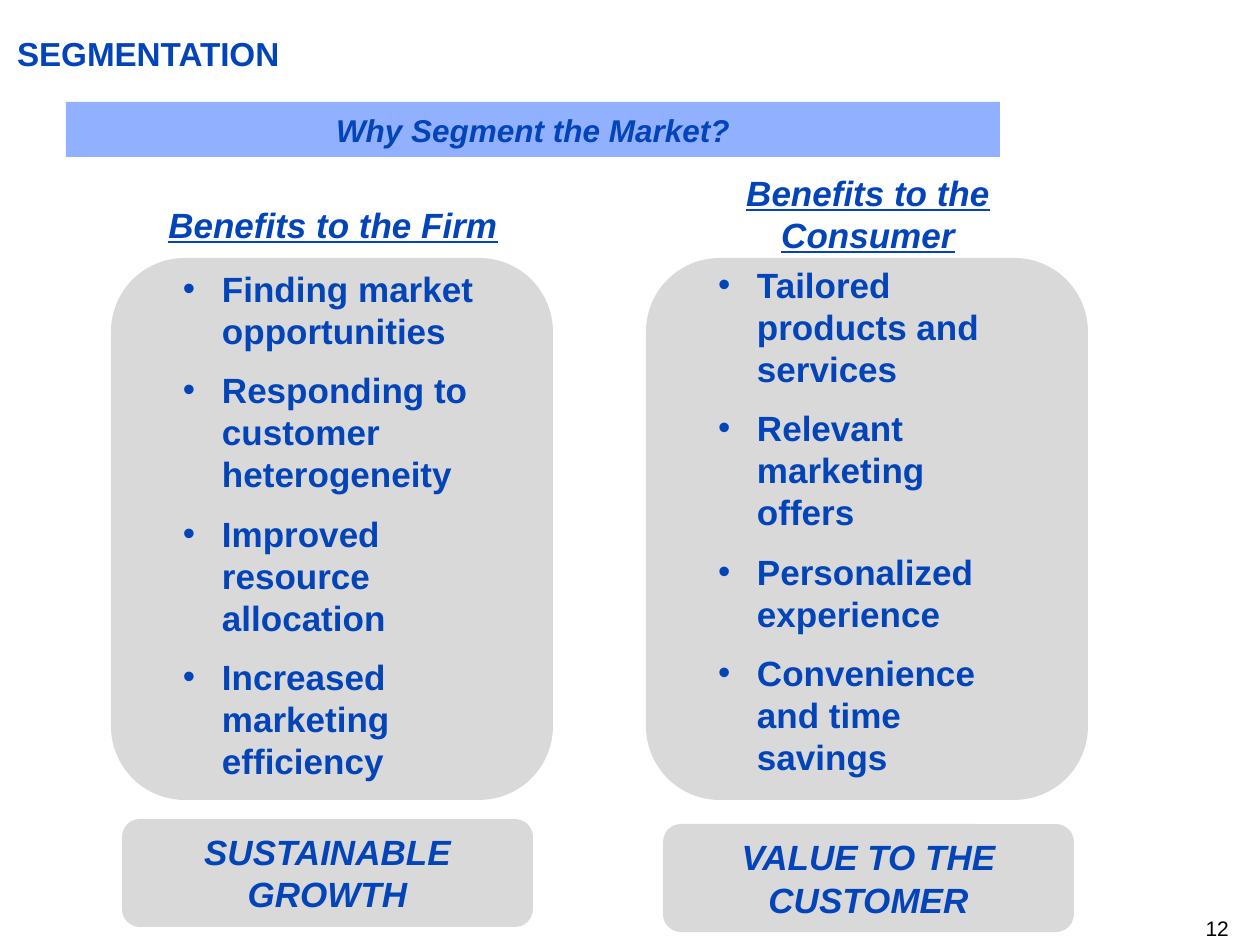
from dataclasses import dataclass

from lxml.etree import SubElement
from pptx import Presentation
from pptx.dml.color import RGBColor
from pptx.enum.shapes import MSO_SHAPE
from pptx.enum.text import MSO_ANCHOR, MSO_AUTO_SIZE, PP_ALIGN
from pptx.oxml.ns import qn
from pptx.util import Emu, Pt


@dataclass(frozen=True)
class Theme:
    font: str = "Arial"
    ink: str = "0344B9"
    page_ink: str = "000000"
    banner: str = "91B0FF"
    panel: str = "D9D9D9"
    title_size: int = 19
    banner_size: int = 18
    body_size: int = 20
    page_size: int = 12
    list_gap: int = 10


@dataclass(frozen=True)
class Column:
    left: int
    heading: str
    heading_top: int
    heading_height: int
    items: tuple
    list_top: int
    outcome: str
    outcome_left: int
    outcome_top: int


COLUMNS = (
    Column(111, "Benefits to the Firm", 197, 55,
           ("Finding market opportunities", "Responding to customer heterogeneity",
            "Improved resource allocation", "Increased marketing efficiency"),
           261, "SUSTAINABLE GROWTH", 122, 819),
    Column(646, "Benefits to the Consumer", 165, 97,
           ("Tailored products and services", "Relevant marketing offers",
            "Personalized experience", "Convenience and time savings"),
           257, "VALUE TO THE CUSTOMER", 663, 824),
)


def px(length):
    return Emu(round(length * 914400 / 126))


class SlideBuilder:
    """Draws styled elements on one slide, measured in px."""

    def __init__(self, slide, theme):
        self.slide = slide
        self.theme = theme

    def place(self, shape, box):
        shape.left, shape.top, shape.width, shape.height = map(px, box)

    def frame(self, shape, anchor, inset=(13, 6)):
        frame = shape.text_frame
        frame.word_wrap = True
        frame.auto_size = MSO_AUTO_SIZE.NONE
        frame.vertical_anchor = anchor
        frame.margin_left = frame.margin_right = px(inset[0])
        frame.margin_top = frame.margin_bottom = px(inset[1])
        return frame

    def set_text(self, paragraph, text, size, align, color=None, bold=True,
                 italic=False, underline=False):
        paragraph.text = text
        paragraph.alignment = align
        font = paragraph.font
        font.name, font.size = self.theme.font, Pt(size)
        font.bold, font.italic, font.underline = bold, italic, underline
        font.color.rgb = RGBColor.from_string(color or self.theme.ink)

    def title(self, text, box):
        shape = self.slide.shapes.title
        self.place(shape, box)
        frame = self.frame(shape, MSO_ANCHOR.MIDDLE, (0, 0))
        self.set_text(frame.paragraphs[0], text, self.theme.title_size, PP_ALIGN.LEFT)

    def panel(self, box, fill, preset=MSO_SHAPE.ROUNDED_RECTANGLE):
        shape = self.slide.shapes.add_shape(preset, *map(px, box))
        shape.shadow.inherit = False
        shape.fill.solid()
        shape.fill.fore_color.rgb = RGBColor.from_string(fill)
        shape.line.fill.background()
        return shape

    def label(self, text, box, fill, size, preset=MSO_SHAPE.ROUNDED_RECTANGLE):
        frame = self.frame(self.panel(box, fill, preset), MSO_ANCHOR.MIDDLE)
        self.set_text(frame.paragraphs[0], text, size, PP_ALIGN.CENTER, italic=True)

    def heading(self, text, box):
        shape = self.slide.shapes.add_textbox(*map(px, box))
        frame = self.frame(shape, MSO_ANCHOR.MIDDLE)
        self.set_text(frame.paragraphs[0], text, self.theme.body_size,
                      PP_ALIGN.CENTER, italic=True, underline=True)

    def bullets(self, index, items, box):
        shape = self.slide.placeholders[index]
        self.slide.shapes._spTree.append(shape._element)
        self.place(shape, box)
        frame = self.frame(shape, MSO_ANCHOR.TOP)
        for number, item in enumerate(items):
            paragraph = frame.add_paragraph() if number else frame.paragraphs[0]
            paragraph.space_before = Pt(self.theme.list_gap if number else 0)
            properties = paragraph._p.get_or_add_pPr()
            properties.set("marL", str(px(39)))
            properties.set("indent", str(-px(39)))
            SubElement(properties, qn("a:buChar")).set("char", "•")
            self.set_text(paragraph, item, self.theme.body_size, PP_ALIGN.LEFT)

    def page_number(self, text, box):
        shape = self.slide.shapes.add_textbox(*map(px, box))
        frame = self.frame(shape, MSO_ANCHOR.TOP, (0, 0))
        self.set_text(frame.paragraphs[0], text, self.theme.page_size,
                      PP_ALIGN.RIGHT, self.theme.page_ink, bold=False)


def main():
    presentation = Presentation()
    presentation.slide_width, presentation.slide_height = px(1260), px(945)
    slide = presentation.slides.add_slide(presentation.slide_layouts[3])
    theme = Theme()
    builder = SlideBuilder(slide, theme)

    builder.title("SEGMENTATION", (17, 33, 1212, 40))
    builder.page_number("12", (967, 916, 262, 25))
    builder.label("Why Segment the Market?", (66, 102, 934, 55), theme.banner,
                  theme.banner_size, MSO_SHAPE.RECTANGLE)
    for index, column in enumerate(COLUMNS, start=1):
        builder.panel((column.left, 258, 442, 542), theme.panel)
        builder.bullets(index, column.items,
                        (column.left + 59, column.list_top, 325, 543))
        builder.heading(column.heading, (column.left + 33, column.heading_top,
                                         378, column.heading_height))
        builder.label(column.outcome,
                      (column.outcome_left, column.outcome_top, 411, 108),
                      theme.panel, theme.body_size)
    presentation.save("out.pptx")


if __name__ == "__main__":
    main()
